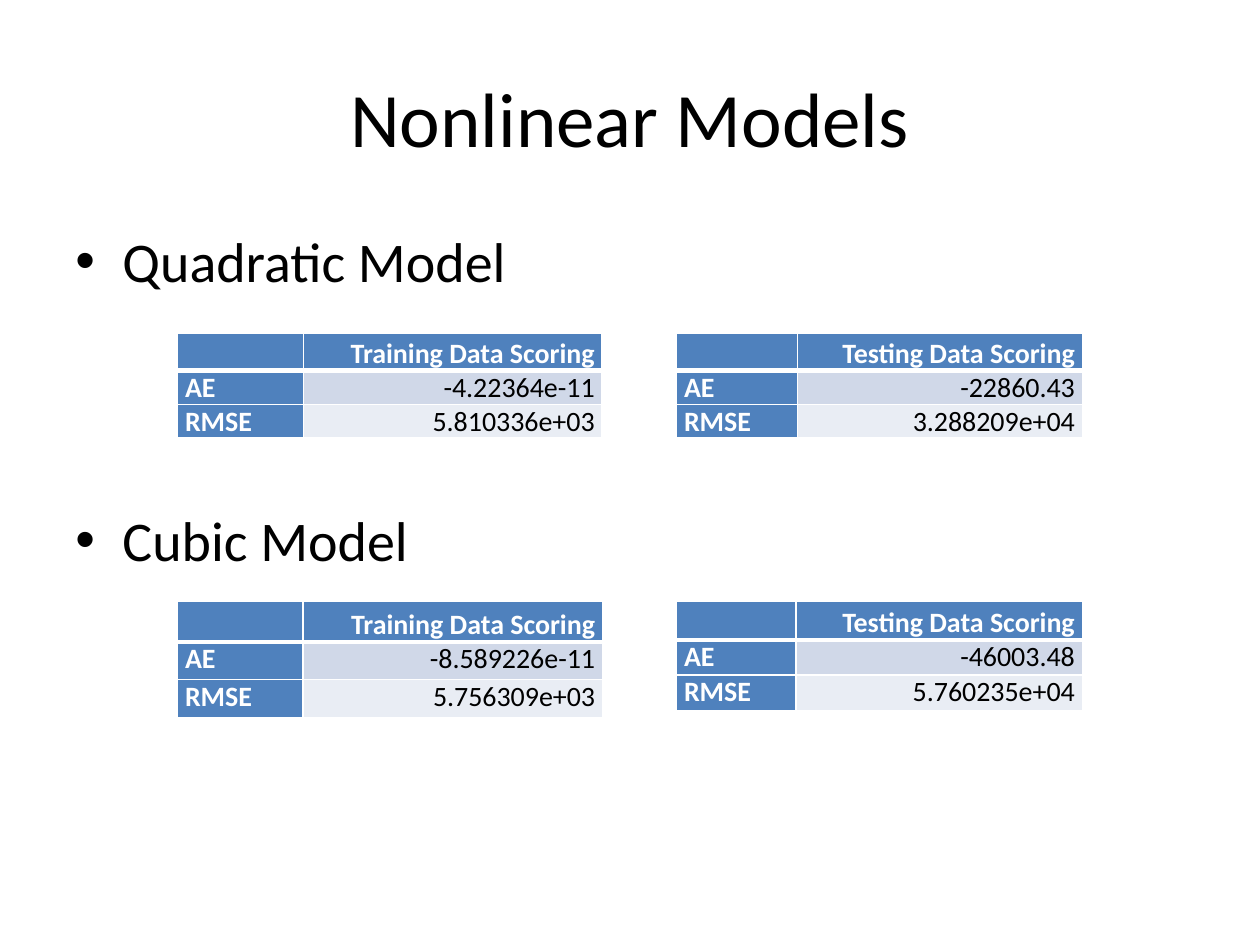
from lxml import etree
from pptx import Presentation
from pptx import util as u
from pptx.dml.color import RGBColor
from pptx.enum import text
from pptx.oxml import ns

COLORS = {"ink": "000000", "white": "FFFFFF", "head": "4F81BD",
          "band_dark": "D0D8E8", "band_light": "E9EDF4"}
FONT = "Calibri"
LEFT, RIGHT = 3.58, 13.64      # left edges of the two table columns
UPPER, LOWER = 6.71, 12.12     # top edges of the two table rows

# left, top, column widths, row heights (cm), header, AE, RMSE
TABLES = [
    (LEFT, UPPER, (2.54, 6.02), (0.73, 0.68, 0.68),
     "Training Data Scoring", "-4.22364e-11", "5.810336e+03"),
    (RIGHT, UPPER, (2.44, 5.74), (0.73, 0.68, 0.68),
     "Testing Data Scoring", "-22860.43", "3.288209e+04"),
    (LEFT, LOWER, (2.53, 6.04), (0.82, 0.76, 0.76),
     "Training Data Scoring", "-8.589226e-11", "5.756309e+03"),
    (RIGHT, LOWER, (2.41, 5.77), (0.78, 0.71, 0.71),
     "Testing Data Scoring", "-46003.48", "5.760235e+04"),
]


def write(para, words, size, color="ink", bold=False,
          align=text.PP_ALIGN.LEFT, before=0, after=0):
    para.alignment = align
    para.space_before = u.Pt(before)
    para.space_after = u.Pt(after)
    span = para.add_run()
    span.text = words
    span.font.name = FONT
    span.font.size = u.Pt(size)
    span.font.bold = bold
    span.font.color.rgb = RGBColor.from_string(COLORS[color])


def add_bullet(para):
    props = para._p.get_or_add_pPr()
    indent = u.Cm(0.95)
    props.set("marL", str(indent))
    props.set("indent", str(-indent))
    etree.SubElement(props, ns.qn("a:buFont"), typeface="Arial")
    etree.SubElement(props, ns.qn("a:buChar"), char="•")


def add_box(page, left, top, width, height, anchor):
    box = page.shapes.add_textbox(u.Cm(left), u.Cm(top), u.Cm(width), u.Cm(height))
    box.text_frame.word_wrap = True
    box.text_frame.vertical_anchor = anchor
    return box.text_frame


def add_borders(cell, row):
    """White rules, with a thick one under the header row."""
    widths = {"L": 1, "R": 1, "T": 3 if row == 1 else 1, "B": 3 if row == 0 else 1}
    props = cell._tc.get_or_add_tcPr()
    for side, width in widths.items():
        line = etree.SubElement(props, ns.qn(f"a:ln{side}"), w=str(u.Pt(width)))
        fill = etree.SubElement(line, ns.qn("a:solidFill"))
        etree.SubElement(fill, ns.qn("a:srgbClr"), val=COLORS["white"])


def format_cell(cell, words, row, column):
    is_head = row == 0 or column == 0
    cell.margin_left = cell.margin_right = u.Cm(0.15)
    cell.margin_top = cell.margin_bottom = 0
    cell.vertical_anchor = (text.MSO_ANCHOR.BOTTOM if row == 0
                            else text.MSO_ANCHOR.TOP)
    add_borders(cell, row)
    cell.fill.solid()
    shade = "head" if is_head else ("band_dark" if row == 1 else "band_light")
    cell.fill.fore_color.rgb = RGBColor.from_string(COLORS[shade])
    write(cell.text_frame.paragraphs[0], words, 16,
          color="white" if is_head else "ink", bold=is_head, after=1.8,
          align=text.PP_ALIGN.RIGHT if column else text.PP_ALIGN.LEFT)


def add_scores(page, left, top, widths, heights, header, ae, rmse):
    rows = [("", header), ("AE", ae), ("RMSE", rmse)]
    frame = page.shapes.add_table(3, 2, u.Cm(left), u.Cm(top),
                                  u.Cm(sum(widths)), u.Cm(sum(heights)))
    table = frame.table
    table.first_col = True
    for column, width in zip(table.columns, widths):
        column.width = u.Cm(width)
    for r, (height, values) in enumerate(zip(heights, rows)):
        table.rows[r].height = u.Cm(height)
        for c, words in enumerate(values):
            format_cell(table.cell(r, c), words, r, c)


def main():
    deck = Presentation()
    deck.slide_width, deck.slide_height = u.Cm(25.4), u.Cm(19.05)
    page = deck.slides.add_slide(deck.slide_layouts[6])

    # Title
    title = add_box(page, 1.27, 0.76, 22.86, 3.18, text.MSO_ANCHOR.MIDDLE)
    write(title.paragraphs[0], "Nonlinear Models", 44, align=text.PP_ALIGN.CENTER)

    # Model names, spaced to leave room for the tables
    body = add_box(page, 1.27, 4.45, 22.86, 12.57, text.MSO_ANCHOR.TOP)
    for para, words, before in ((body.paragraphs[0], "Quadratic Model", 0),
                                (body.add_paragraph(), "Cubic Model", 121)):
        add_bullet(para)
        write(para, words, 32, before=before)

    # Score tables
    for scores in TABLES:
        add_scores(page, *scores)

    deck.save("out.pptx")


if __name__ == "__main__":
    main()
